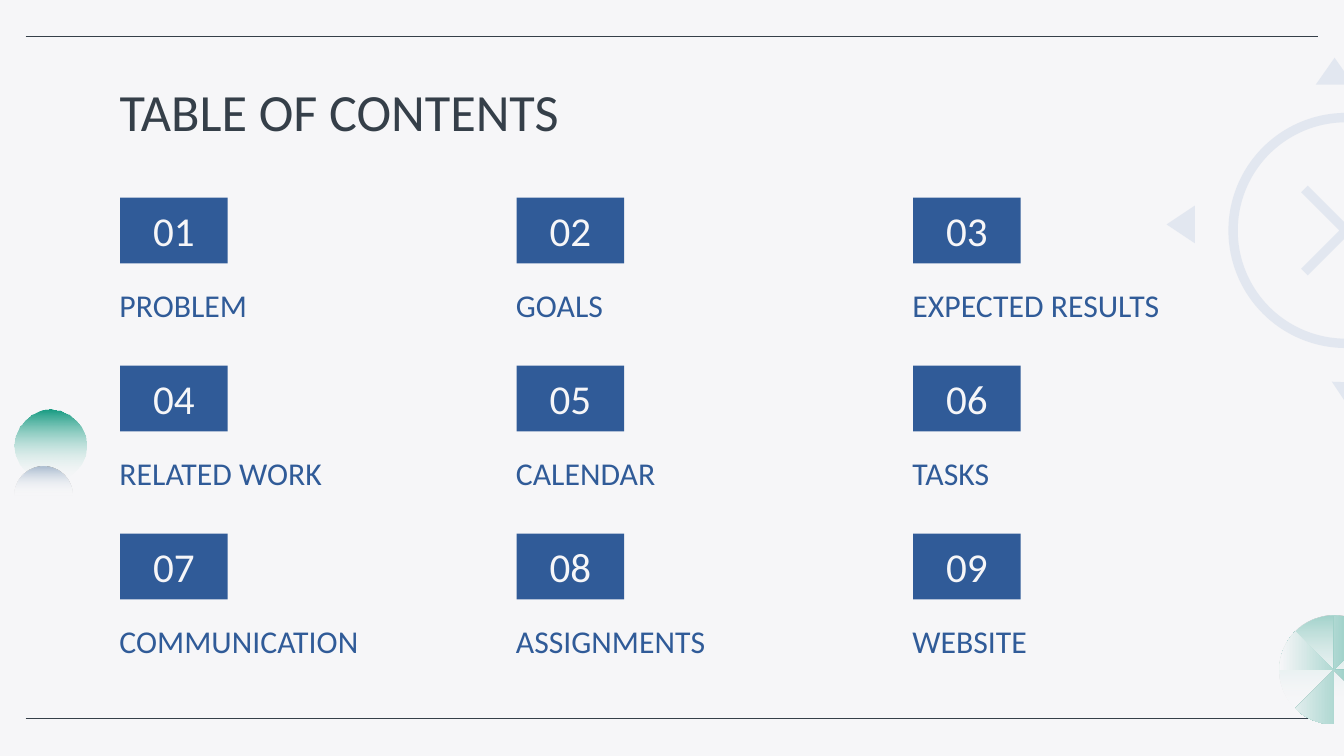
from math import cos, radians, sin

from pptx import Presentation
from pptx.dml.color import RGBColor
from pptx.enum.shapes import MSO_CONNECTOR, MSO_SHAPE
from pptx.enum.text import MSO_ANCHOR, MSO_AUTO_SIZE, PP_ALIGN
from pptx.oxml import parse_xml
from pptx.oxml.ns import nsdecls, qn
from pptx.oxml.xmlchemy import OxmlElement
from pptx.util import Emu, Pt

PX = 4572
FONT = "Calibri"
PAPER = RGBColor(0xF6, 0xF6, 0xF8)
INK = RGBColor(0x35, 0x3F, 0x49)
BLUE = RGBColor(0x30, 0x5B, 0x98)
PALE_BLUE = RGBColor(0xD6, 0xDE, 0xEB)
GREY_BLUE = RGBColor(0xAB, 0xBC, 0xD0)
GREEN = RGBColor(0x16, 0x9B, 0x82)
MINT = RGBColor(0x68, 0xBA, 0xAC)
WHITE = RGBColor(0xFF, 0xFF, 0xFF)

TOPICS = ["PROBLEM", "GOALS", "EXPECTED RESULTS", "RELATED WORK", "CALENDAR",
          "TASKS", "COMMUNICATION", "ASSIGNMENTS", "WEBSITE"]


def px(*lengths):
    """Turn px lengths into EMU."""
    return [Emu(round(n * PX)) for n in lengths]


def set_all(obj, values):
    """Set every attribute named in a dict."""
    for name, value in values.items():
        setattr(obj, name, value)


def paint(sp, stops, angle=0):
    """Fill a shape with (position, colour, opacity) stops, or one plain colour."""
    sp.shadow.inherit = False
    sp.line.fill.background()
    if len(stops) == 1 and stops[0][2] == 100:
        sp.fill.solid()
        sp.fill.fore_color.rgb = stops[0][1]
        return
    colors = [f'<a:srgbClr val="{c}"><a:alpha val="{a * 1000}"/></a:srgbClr>' for _, c, a in stops]
    if len(stops) == 1:
        xml = f'<a:solidFill {nsdecls("a")}>{colors[0]}</a:solidFill>'
    else:
        marks = "".join(f'<a:gs pos="{s[0] * 1000}">{c}</a:gs>' for s, c in zip(stops, colors))
        xml = (f'<a:gradFill {nsdecls("a")} rotWithShape="1"><a:gsLst>{marks}</a:gsLst>'
               f'<a:lin ang="{angle * 60000}" scaled="0"/></a:gradFill>')
    sp.fill.background()
    props = sp._element.spPr
    props.replace(props.find(qn("a:noFill")), parse_xml(xml))


def add_shape(s, kind, box, stops, angle=0):
    """Add a painted preset shape in a px box."""
    sp = s.shapes.add_shape(kind, *px(*box))
    paint(sp, stops, angle)
    return sp


def add_outline(s, contours, stops, angle=0):
    """Add a painted freeform made of closed px contours."""
    builder = None
    for first, *rest in contours:
        if builder is None:
            builder = s.shapes.build_freeform(*px(*first), scale=1.0)
        else:
            builder.move_to(*px(*first))
        builder.add_line_segments([px(*point) for point in rest], close=True)
    paint(builder.convert_to_shape(), stops, angle)


def write(sp, text, size, color, anchor, align=PP_ALIGN.LEFT):
    """Write one formatted paragraph into a shape."""
    tf = sp.text_frame
    inset = px(20)[0]
    set_all(tf, {"word_wrap": True, "auto_size": MSO_AUTO_SIZE.NONE, "vertical_anchor": anchor,
                 "margin_left": inset, "margin_right": inset,
                 "margin_top": inset, "margin_bottom": inset})
    p = tf.paragraphs[0]
    p.alignment = align
    r = p.add_run()
    r.text = text
    set_all(r.font, {"size": Pt(size), "name": FONT})
    r.font.color.rgb = color


def add_rules(s, left, top, width, height):
    """Draw the rules along the top and bottom of a box."""
    for y in (top, top + height):
        line = s.shapes.add_connector(MSO_CONNECTOR.STRAIGHT, *px(left, y, left + width, y))
        line.line.color.rgb = INK
        line.line.width = Pt(0.75)
        line._element.spPr.append(OxmlElement("a:effectLst"))


def add_bubbles(s, left, top):
    """Draw the two fading bubbles."""
    add_shape(s, MSO_SHAPE.OVAL, (left, top, 107, 107), [(0, GREEN, 100), (100, WHITE, 0)], 90)
    add_shape(s, MSO_SHAPE.OVAL, (left, top + 84, 86, 86),
              [(0, GREY_BLUE, 100), (50, WHITE, 0), (100, WHITE, 0)], 90)


def add_dial(s, left, top, size):
    """Draw the ring with its cross and three outer arrowheads."""
    tint = [(0, PALE_BLUE, 61)]
    for kind, inset, adj in ((MSO_SHAPE.MATH_PLUS, 56, 0.058), (MSO_SHAPE.DONUT, 0, 0.04)):
        side = size - 2 * inset
        sp = add_shape(s, kind, (left + inset, top + inset, side, side), tint)
        sp.rotation = 315
        sp.adjustments[0] = adj
    heads = [[(-92, 166), (-50, 194), (-50, 138)],
             [(158, -82), (130, -42), (186, -42)],
             [(154, 400), (182, 442), (210, 402)]]
    for head in heads:
        add_outline(s, [[(left + x, top + y) for x, y in head]], tint)


def add_pinwheel(s, left, top, size):
    """Draw a fading disc with four wedges."""
    add_shape(s, MSO_SHAPE.OVAL, (left, top, size, size),
              [(0, MINT, 59), (83, WHITE, 0), (100, WHITE, 0)], 90)
    radius = size / 2
    cx, cy = left + radius, top + radius
    wedges = [[(cx, cy)] + [(cx + radius * cos(radians(a)), cy + radius * sin(radians(a)))
                            for a in range(start, start + 46, 3)]
              for start in (0, 90, 180, 270)]
    add_outline(s, wedges, [(0, MINT, 100), (100, PAPER, 100)], 180)


def add_title(s, left, top, width, height):
    """Place the title placeholder."""
    sp = s.shapes.title
    sp.left, sp.top, sp.width, sp.height = px(left, top, width, height)
    write(sp, "TABLE OF CONTENTS", 28, INK, MSO_ANCHOR.TOP)


def add_topic(s, left, top, number, text):
    """Place a numbered tile with its label below."""
    tile = add_shape(s, MSO_SHAPE.RECTANGLE, (left + 21, top, 160, 98), [(0, BLUE, 100)])
    write(tile, f"{number:02}", 22, PAPER, MSO_ANCHOR.MIDDLE, PP_ALIGN.CENTER)
    width = 556 if len(text) > 11 else 504
    label = s.shapes.add_textbox(*px(left, top + 122, width, 86))
    write(label, text, 17, BLUE, MSO_ANCHOR.BOTTOM)


def add_topics(s, left, top):
    """Lay the topics out in three columns."""
    for i, text in enumerate(TOPICS):
        row, col = divmod(i, 3)
        add_topic(s, left + 590 * col, top + 250 * row, i + 1, text)


def main():
    """Build and save the contents slide."""
    prs = Presentation()
    prs.slide_width, prs.slide_height = px(2000, 1125)
    s = prs.slides.add_slide(prs.slide_layouts[5])
    s.background.fill.solid()
    s.background.fill.fore_color.rgb = PAPER
    add_rules(s, 38, 54, 1924, 1015)
    add_bubbles(s, 22, 610)
    add_dial(s, 1828, 168, 350)
    add_pinwheel(s, 1904, 916, 162)
    add_title(s, 158, 98, 1686, 126)
    add_topics(s, 158, 294)
    prs.save("out.pptx")


if __name__ == "__main__":
    main()
